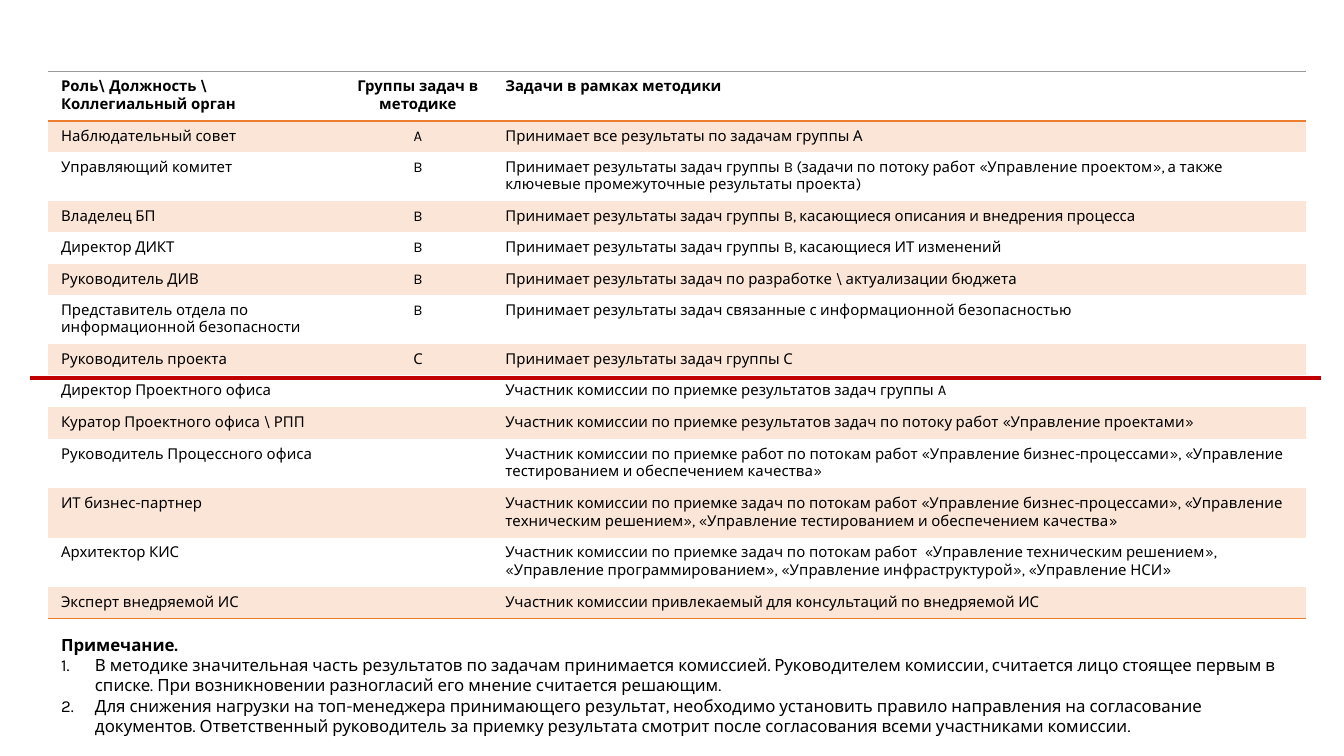
import pptx
import pptx.util
import pptx.dml.color
import pptx.enum.shapes
import pptx.enum.text
import pptx.oxml.ns
import lxml.etree

Cm = pptx.util.Cm
Pt = pptx.util.Pt
RGBColor = pptx.dml.color.RGBColor
ALIGN = pptx.enum.text.PP_ALIGN
qn = pptx.oxml.ns.qn

BLACK = RGBColor(0x00, 0x00, 0x00)
ORANGE = RGBColor(0xED, 0x7D, 0x31)
PEACH = RGBColor(0xFB, 0xE5, 0xD6)
GRAY = RGBColor(0x99, 0x99, 0x99)
RED = RGBColor(0xC0, 0x00, 0x00)
FONT = "Karla"
PLAIN = "{2D5ABB26-0587-4C30-8999-92F81FD0307C}"

ROLES = [
    ("Роль\\ Должность \\ Коллегиальный орган", "Группы задач в методике", "Задачи в рамках методики"),
    ("Наблюдательный совет", "A", "Принимает все результаты по задачам группы А"),
    ("Управляющий комитет", "B",
     "Принимает результаты задач группы B (задачи по потоку работ «Управление проектом», "
     "а также ключевые промежуточные результаты проекта)"),
    ("Владелец БП", "B", "Принимает результаты задач группы B, касающиеся описания и внедрения процесса"),
    ("Директор ДИКТ", "B", "Принимает результаты задач группы B, касающиеся ИТ изменений"),
    ("Руководитель ДИВ", "B", "Принимает результаты задач по разработке \\ актуализации бюджета"),
    ("Представитель отдела по информационной безопасности", "B",
     "Принимает результаты задач связанные с информационной безопасностью"),
    ("Руководитель проекта", "С", "Принимает результаты задач группы С"),
    ("Директор Проектного офиса", "", "Участник комиссии по приемке результатов задач группы A"),
    ("Куратор Проектного офиса \\ РПП", "",
     "Участник комиссии по приемке результатов задач по потоку работ «Управление проектами»"),
    ("Руководитель Процессного офиса", "",
     "Участник комиссии по приемке работ по потокам работ «Управление бизнес-процессами», "
     "«Управление тестированием и обеспечением качества»"),
    ("ИТ бизнес-партнер", "",
     "Участник комиссии по приемке задач по потокам работ «Управление бизнес-процессами», "
     "«Управление техническим решением», «Управление тестированием и обеспечением качества»"),
    ("Архитектор КИС", "",
     "Участник комиссии по приемке задач по потокам работ  «Управление техническим решением», "
     "«Управление программированием», «Управление инфраструктурой», «Управление НСИ»"),
    ("Эксперт внедряемой ИС", "", "Участник комиссии привлекаемый для консультаций по внедряемой ИС"),
]
TALL = {0, 2, 6, 10, 11, 12}
HEAD = "Примечание."
NOTES = [
    "В методике значительная часть результатов по задачам принимается комиссией. "
    "Руководителем комиссии, считается лицо стоящее первым в списке. "
    "При возникновении разногласий его мнение считается решающим.",
    "Для снижения нагрузки на топ-менеджера принимающего результат, необходимо установить правило "
    "направления на согласование документов. Ответственный руководитель за приемку результата "
    "смотрит после согласования всеми участниками комиссии.",
]
LEFT, TOP, WIDTH = Cm(0.9), Cm(1.35), Cm(23.79)
COLS = [Cm(5.6), Cm(2.8), Cm(15.39)]
LOW, HIGH = Cm(0.59), Cm(0.93)


def style(para, size, bold):
    for run in para.runs:
        font = run.font
        font.name, font.size, font.bold = FONT, Pt(size), bold
        font.color.rgb = BLACK
    if not para.runs:
        lxml.etree.SubElement(para._p, qn("a:endParaRPr"), sz=str(size * 100))


def edge(cell, side, color, width):
    line = lxml.etree.SubElement(cell._tc.get_or_add_tcPr(), qn("a:" + side), w=str(Pt(width)))
    fill = lxml.etree.SubElement(line, qn("a:solidFill"))
    lxml.etree.SubElement(fill, qn("a:srgbClr"), val=str(color))


def add_roles(slide):
    sizes = [HIGH if i in TALL else LOW for i in range(len(ROLES))]
    table = slide.shapes.add_table(len(ROLES), len(COLS), LEFT, TOP, WIDTH, sum(sizes)).table
    table.first_row = table.horz_banding = False
    table._tbl.tblPr.find(qn("a:tableStyleId")).text = PLAIN
    for col, width in zip(table.columns, COLS):
        col.width = width
    for i, texts in enumerate(ROLES):
        table.rows[i].height = sizes[i]
        for j, text in enumerate(texts):
            cell = table.cell(i, j)
            cell.text_frame.text = text
            para = cell.text_frame.paragraphs[0]
            para.alignment = ALIGN.CENTER if j == 1 else ALIGN.LEFT
            style(para, 8, i == 0)
            if i == 0:
                edge(cell, "lnT", GRAY, 0.5)
            if i in (0, len(ROLES) - 1):
                edge(cell, "lnB", ORANGE, 1)
            if i % 2:
                cell.fill.solid()
                cell.fill.fore_color.rgb = PEACH
            else:
                cell.fill.background()


def add_notes(slide):
    body = slide.placeholders[1]
    body.left, body.top, body.width, body.height = LEFT, Cm(11.86), WIDTH, Cm(2.18)
    frame = body.text_frame
    frame.text = "\n".join([HEAD] + NOTES)
    frame.word_wrap = True
    frame.auto_size = pptx.enum.text.MSO_AUTO_SIZE.NONE
    frame.vertical_anchor = pptx.enum.text.MSO_ANCHOR.TOP
    for i, para in enumerate(frame.paragraphs):
        style(para, 9, i == 0)
        para.alignment = ALIGN.LEFT
        para.space_before = Pt(0)
        props = para._p.get_or_add_pPr()
        dent = Cm(0.64) if i else 0
        props.set("marL", str(dent))
        props.set("indent", str(-dent))
        if i:
            lxml.etree.SubElement(props, qn("a:buFont"), typeface=FONT)
            lxml.etree.SubElement(props, qn("a:buAutoNum"), type="arabicPeriod")
        else:
            lxml.etree.SubElement(props, qn("a:buNone"))


def add_rule(slide):
    y = Cm(7.14)
    kind = pptx.enum.shapes.MSO_CONNECTOR.STRAIGHT
    rule = slide.shapes.add_connector(kind, Cm(0.56), y, Cm(24.97), y)
    rule.line.color.rgb = RED
    rule.line.width = Pt(1.75)
    lxml.etree.SubElement(rule._element.spPr, qn("a:effectLst"))


def main():
    deck = pptx.Presentation()
    deck.slide_width, deck.slide_height = Cm(25.4), Cm(14.28)
    slide = deck.slides.add_slide(deck.slide_layouts[1])
    title = slide.shapes.title._element
    title.getparent().remove(title)
    add_roles(slide)
    add_notes(slide)
    add_rule(slide)
    deck.save("out.pptx")


if __name__ == "__main__":
    main()
